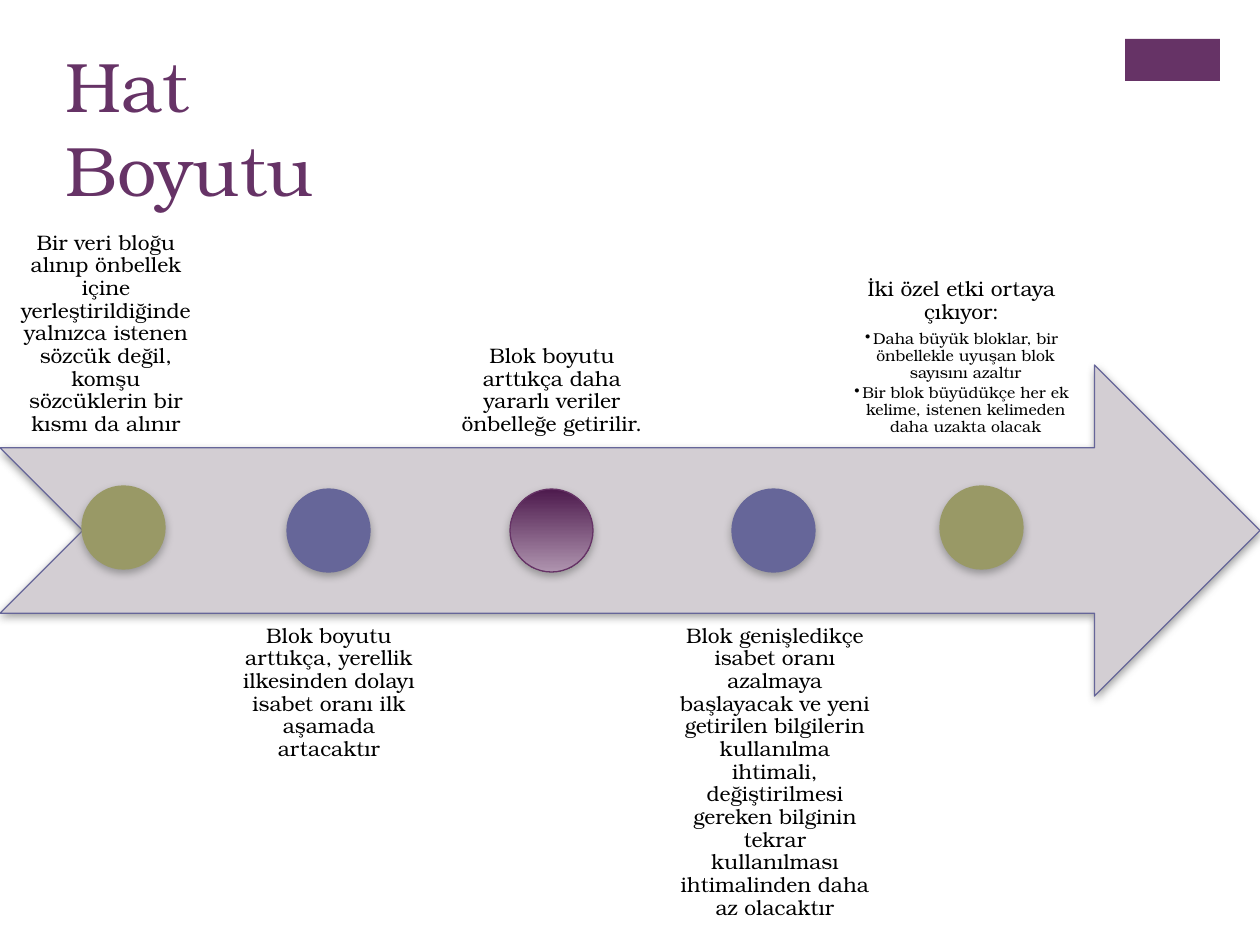
import dataclasses

import lxml.etree
import pptx
import pptx.dml.color
import pptx.enum.shapes
import pptx.enum.text
import pptx.oxml.ns
import pptx.util

MSO_SHAPE = pptx.enum.shapes.MSO_SHAPE
ANCHOR = pptx.enum.text.MSO_ANCHOR
ALIGN = pptx.enum.text.PP_ALIGN
qn = pptx.oxml.ns.qn


@dataclasses.dataclass(frozen=True)
class Theme:
    font: str = "TeX Gyre Bonum"
    plum: str = "663366"
    arrow: str = "D3CED3"
    blue: str = "666699"
    olive: str = "999966"
    text: str = "000000"
    shadow: str = "808080"
    gradient: tuple = ("4D1A4D", "AF94AF")
    title_size: int = 40
    body_size: int = 12
    bullet_size: int = 9


def px(n):
    return pptx.util.Emu(round(n * 914400 / 126))


def rgb(value):
    return pptx.dml.color.RGBColor.from_string(value)


class SlideBuilder:
    def __init__(self, s, theme):
        self.s = s
        self.theme = theme

    def shape(self, kind, x, y, w, h, fill, line=None):
        sp = self.s.shapes.add_shape(kind, px(x), px(y), px(w), px(h))
        sp.shadow.inherit = False
        if isinstance(fill, tuple):
            sp.fill.gradient()
            sp.fill.gradient_angle = 270
            for stop, color, position in zip(sp.fill.gradient_stops, fill, (0, 1)):
                stop.color.rgb = rgb(color)
                stop.position = position
        else:
            sp.fill.solid()
            sp.fill.fore_color.rgb = rgb(fill)
        if line:
            sp.line.color.rgb = rgb(line)
            sp.line.width = pptx.util.Pt(0.75)
            self.cast_shadow(sp)
        else:
            sp.line.fill.background()
        return sp

    def cast_shadow(self, sp):
        effects = sp._element.spPr.find(qn("a:effectLst"))
        shadow = lxml.etree.SubElement(
            effects, qn("a:outerShdw"), blurRad=str(pptx.util.Pt(5)),
            dist=str(pptx.util.Pt(2)), dir="5400000", rotWithShape="0")
        color = lxml.etree.SubElement(shadow, qn("a:srgbClr"), val=self.theme.shadow)
        lxml.etree.SubElement(color, qn("a:alpha"), val="75000")

    def text_box(self, x, y, w, h, anchor, inset_x, inset_y):
        tf = self.s.shapes.add_textbox(px(x), px(y), px(w), px(h)).text_frame
        tf.word_wrap = True
        tf.vertical_anchor = anchor
        tf.margin_left = tf.margin_right = px(inset_x)
        tf.margin_top = tf.margin_bottom = px(inset_y)
        return tf

    def style(self, p, size, color):
        for r in p.runs:
            r.font.name = self.theme.font
            r.font.size = pptx.util.Pt(size)
            r.font.color.rgb = rgb(color)

    def title(self, text, x, y, w, h):
        tf = self.text_box(x, y, w, h, ANCHOR.MIDDLE, 13, 6)
        tf.text = text
        self.style(tf.paragraphs[0], self.theme.title_size, self.theme.plum)

    def note(self, text, x, y, w, h, anchor, bullets=()):
        tf = self.text_box(x, y, w, h, anchor, 11, 11)
        tf.text = "\n".join((text, *bullets))
        for i, p in enumerate(tf.paragraphs):
            size = self.theme.bullet_size if i else self.theme.body_size
            p.alignment = ALIGN.CENTER
            p.line_spacing = 0.9
            p.space_after = pptx.util.Pt(size * (0.15 if i else 0.35))
            self.style(p, size, self.theme.text)
            if i:
                self.bullet(p)

    def bullet(self, p):
        p.level = 1
        pPr = p._p.get_or_add_pPr()
        pPr.set("marL", str(px(8)))
        pPr.set("indent", str(-px(8)))
        lxml.etree.SubElement(pPr, qn("a:buChar"), char="•")


def main():
    theme = Theme()
    prs = pptx.Presentation()
    prs.slide_width, prs.slide_height = px(1260), px(945)
    b = SlideBuilder(prs.slides.add_slide(prs.slide_layouts[6]), theme)

    b.shape(MSO_SHAPE.RECTANGLE, 1125, 39, 95, 42, theme.plum)
    b.title("Hat Boyutu", 53, 32, 388, 189)
    b.shape(MSO_SHAPE.NOTCHED_RIGHT_ARROW, 0, 365, 1260, 331, theme.arrow, theme.blue)

    stages = [
        ("Bir veri bloğu alınıp önbellek içine yerleştirildiğinde yalnızca istenen "
         "sözcük değil, komşu sözcüklerin bir kısmı da alınır",
         212, 82, 486, theme.olive, theme.olive, ()),
        ("Blok boyutu arttıkça, yerellik ilkesinden dolayı isabet oranı ilk aşamada "
         "artacaktır",
         212, 287, 489, theme.blue, theme.blue, ()),
        ("Blok boyutu arttıkça daha yararlı veriler önbelleğe getirilir.",
         212, 510, 489, theme.gradient, theme.plum, ()),
        ("Blok genişledikçe isabet oranı azalmaya başlayacak ve yeni getirilen "
         "bilgilerin kullanılma ihtimali, değiştirilmesi gereken bilginin tekrar "
         "kullanılması ihtimalinden daha az olacaktır",
         212, 732, 489, theme.blue, theme.blue, ()),
        ("İki özel etki ortaya çıkıyor:",
         243, 940, 486, theme.olive, theme.olive,
         ("Daha büyük bloklar, bir önbellekle uyuşan blok sayısını azaltır",
          "Bir blok büyüdükçe her ek kelime, istenen kelimeden daha uzakta olacak")),
    ]
    note_step = 223
    for i, (text, w, dot_x, dot_y, fill, line, bullets) in enumerate(stages):
        y, anchor = (614, ANCHOR.TOP) if i % 2 else (116, ANCHOR.BOTTOM)
        x = 840 if bullets else i * note_step
        b.note(text, x, y, w, 331, anchor, bullets)
        b.shape(MSO_SHAPE.OVAL, dot_x, dot_y, 83, 83, fill, line)

    prs.save("out.pptx")


if __name__ == "__main__":
    main()
